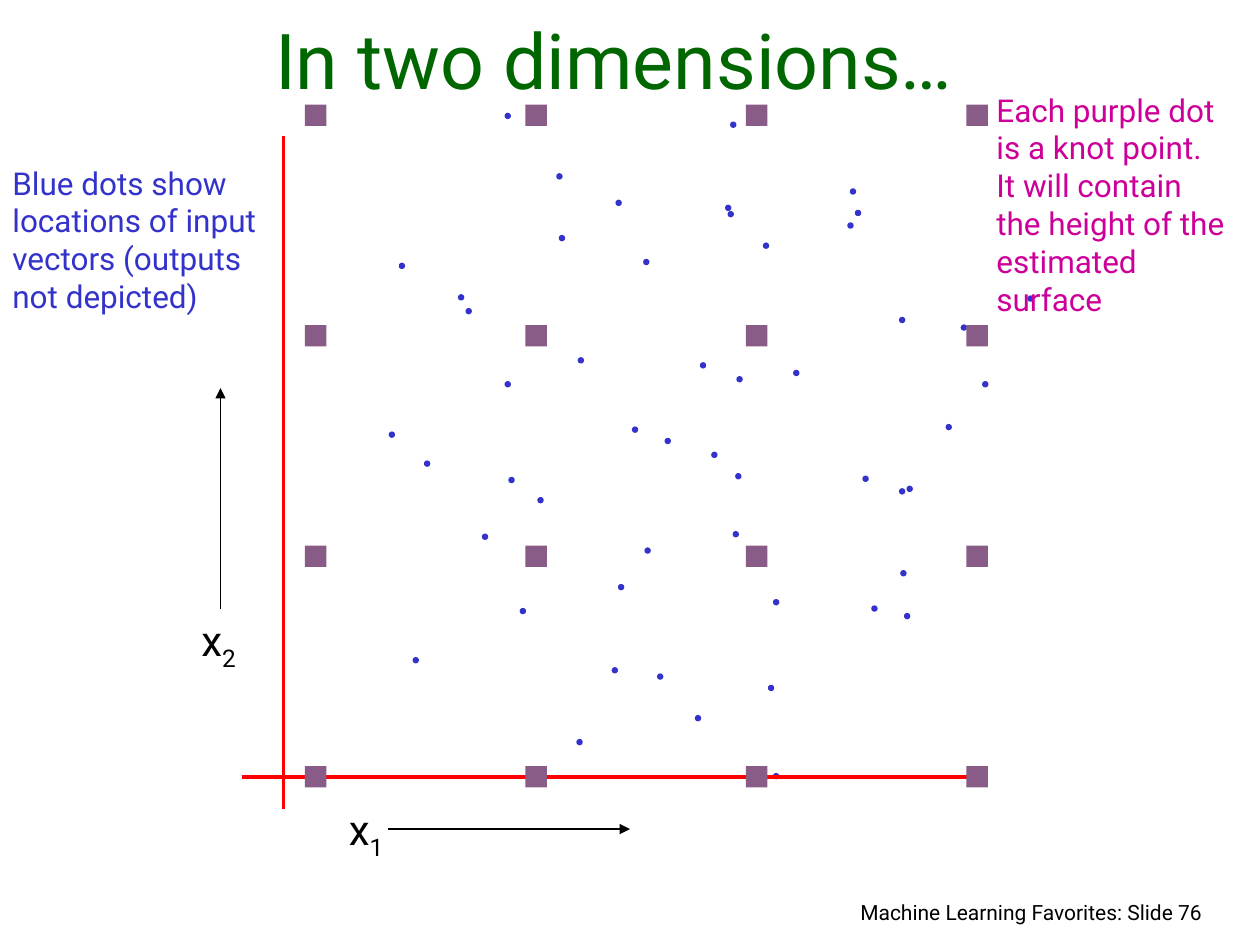
from dataclasses import dataclass

from lxml import etree
from pptx import Presentation
from pptx import util as u
from pptx.dml.color import RGBColor
from pptx.enum import shapes, text
from pptx.oxml.ns import qn

FONT = "Roboto"
BLACK, RED, BLUE = "000000", "FF0000", "3333CC"
GREEN, PINK, PURPLE = "006600", "CC0099", "885C87"
LEFT, MID, RIGHT = text.PP_ALIGN.LEFT, text.PP_ALIGN.CENTER, text.PP_ALIGN.RIGHT


@dataclass
class Label:
    words: str
    box: tuple
    size: float
    color: str
    before: float = 0
    align: text.PP_ALIGN = LEFT
    sub: str = ""
    indent: float = 0
    grow: bool = True


@dataclass
class Line:
    start: tuple
    end: tuple
    color: str
    width: float
    arrow: bool = False


@dataclass
class Mark:
    kind: shapes.MSO_SHAPE
    size: float
    color: str
    edge: float = 0


def paint(color: str) -> RGBColor:
    return RGBColor.from_string(color)


def assign(item, values: dict) -> None:
    for name, value in values.items():
        setattr(item, name, value)


def add_label(slide, label: Label) -> None:
    box = slide.shapes.add_textbox(*map(u.Inches, label.box))
    auto = text.MSO_AUTO_SIZE
    assign(box.text_frame, {
        "word_wrap": True,
        "auto_size": auto.SHAPE_TO_FIT_TEXT if label.grow else auto.NONE,
        "vertical_anchor": text.MSO_ANCHOR.TOP if label.grow else text.MSO_ANCHOR.BOTTOM,
    })
    para = box.text_frame.paragraphs[0]
    assign(para, {"alignment": label.align, "space_before": u.Pt(label.before)})
    if label.indent:
        para._p.get_or_add_pPr().set("marL", str(u.Inches(label.indent)))
    for part in filter(None, (label.words, label.sub)):
        run = para.add_run()
        run.text = part
        assign(run.font, {"name": FONT, "size": u.Pt(label.size)})
        run.font.color.rgb = paint(label.color)
    if label.sub:
        run._r.get_or_add_rPr().set("baseline", "-25000")


def add_line(slide, line: Line) -> None:
    ends = map(u.Inches, line.start + line.end)
    link = slide.shapes.add_connector(shapes.MSO_CONNECTOR.STRAIGHT, *ends)
    link.line.color.rgb = paint(line.color)
    link.line.width = u.Pt(line.width)
    if line.arrow:
        tip = etree.SubElement(link.line._get_or_add_ln(), qn("a:tailEnd"))
        tip.set("type", "triangle")
    etree.SubElement(link._element.spPr, qn("a:effectLst"))


def add_marks(slide, mark: Mark, spots: list) -> None:
    """Draw one group of equal marks, each placed by its top left corner."""
    group = slide.shapes.add_group_shape()
    side = u.Inches(mark.size)
    for x, y in spots:
        item = group.shapes.add_shape(mark.kind, u.Inches(x), u.Inches(y), side, side)
        item.shadow.inherit = False
        item.fill.solid()
        item.fill.fore_color.rgb = paint(mark.color)
        if mark.edge:
            item.line.color.rgb = paint(mark.color)
            item.line.width = u.Pt(mark.edge)
        else:
            item.line.fill.background()


DOT = Mark(shapes.MSO_SHAPE.OVAL, 0.04, BLUE, 0.75)
KNOT = Mark(shapes.MSO_SHAPE.RECTANGLE, 0.17, PURPLE)
STEP = 1.75

INPUTS = [
    (4.27, 3.95), (7.8, 3.03), (5.02, 3.39), (4.86, 5.3), (6.14, 4.76),
    (3.09, 3.43), (5.76, 1.63), (5.85, 2.99), (4.42, 1.38), (3.28, 5.22),
    (3.64, 2.34), (6.85, 3.78), (6.73, 1.77), (5.12, 4.35), (8.16, 2.35),
    (5.65, 3.59), (6.1, 5.44), (7.15, 4.53), (3.83, 4.24), (5.78, 1.68),
    (6.3, 2.94), (4.44, 1.87), (4.58, 5.87), (4.01, 3.03), (7.51, 3.37),
    (6.75, 1.5), (5.11, 2.06), (5.52, 5.68), (5.56, 2.88), (3.7, 2.45),
    (4.04, 3.79), (5.8, 0.97), (7.2, 3.86), (5.84, 3.76), (7.63, 2.58),
    (4.01, 0.9), (6.79, 1.67), (4.91, 4.64), (6.92, 4.81), (4.59, 2.84),
    (6.14, 6.14), (5.28, 3.48), (3.37, 3.66), (4.13, 4.83), (4.89, 1.59),
    (7.14, 3.88), (5.82, 4.22), (7.14, 2.52), (3.17, 2.09), (6.06, 1.93),
    (5.22, 5.35), (7.18, 4.87),
]

LABELS = [
    Label("Machine Learning Favorites: Slide 76", (5.72, 7.09, 3.92, 0.33),
          12, BLACK, 7.5, RIGHT),
    Label("In two dimensions…", (0.25, 0.17, 9.25, 0.71), 44, GREEN,
          align=MID, grow=False),
    Label("x", (2.67, 6.33, 0.5, 0.56), 24, BLACK, 15, sub="1"),
    Label("x", (1.5, 4.83, 0.5, 0.56), 24, BLACK, 15, sub="2"),
]
BLUE_NOTE = Label("Blue dots show locations of input vectors (outputs not depicted)",
                  (0, 1.25, 2.33, 1.3), 18, BLUE, 11.2)
KNOT_NOTE = Label("Each purple dot is a knot point. It will contain the height "
                  "of the estimated surface",
                  (7.5, 0.67, 2.33, 2.2), 18, PINK, 11.2, indent=0.31)

LINES = [
    Line((2.25, 1.08), (2.25, 6.42), RED, 2.25),
    Line((3.08, 6.58), (5, 6.58), BLACK, 1, True),
    Line((1.75, 4.83), (1.75, 3.08), BLACK, 1, True),
]
FLOOR = Line((1.92, 6.17), (7.75, 6.17), RED, 2.25)


def main() -> None:
    deck = Presentation()
    assign(deck, {"slide_width": u.Inches(10), "slide_height": u.Inches(7.5)})
    slide = deck.slides.add_slide(deck.slide_layouts[6])

    # Title, footer, axis names and arrows
    for label in LABELS:
        add_label(slide, label)
    for line in LINES:
        add_line(slide, line)

    # Input vectors
    add_marks(slide, DOT, INPUTS)
    add_label(slide, BLUE_NOTE)
    add_line(slide, FLOOR)

    # Grid of knots, one group per row
    for row in range(4):
        add_marks(slide, KNOT, [(2.42 + STEP * col, 0.83 + STEP * row)
                                for col in range(4)])
    add_label(slide, KNOT_NOTE)

    deck.save("out.pptx")


if __name__ == "__main__":
    main()
